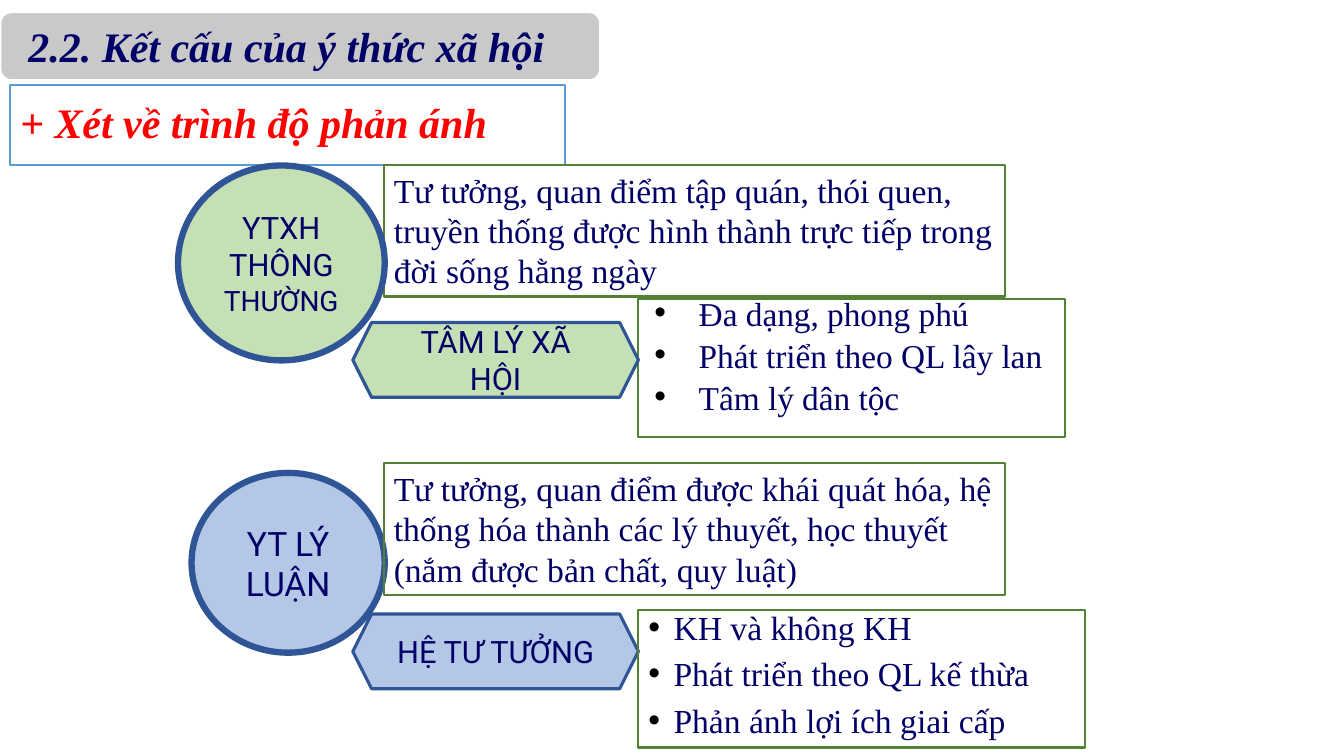
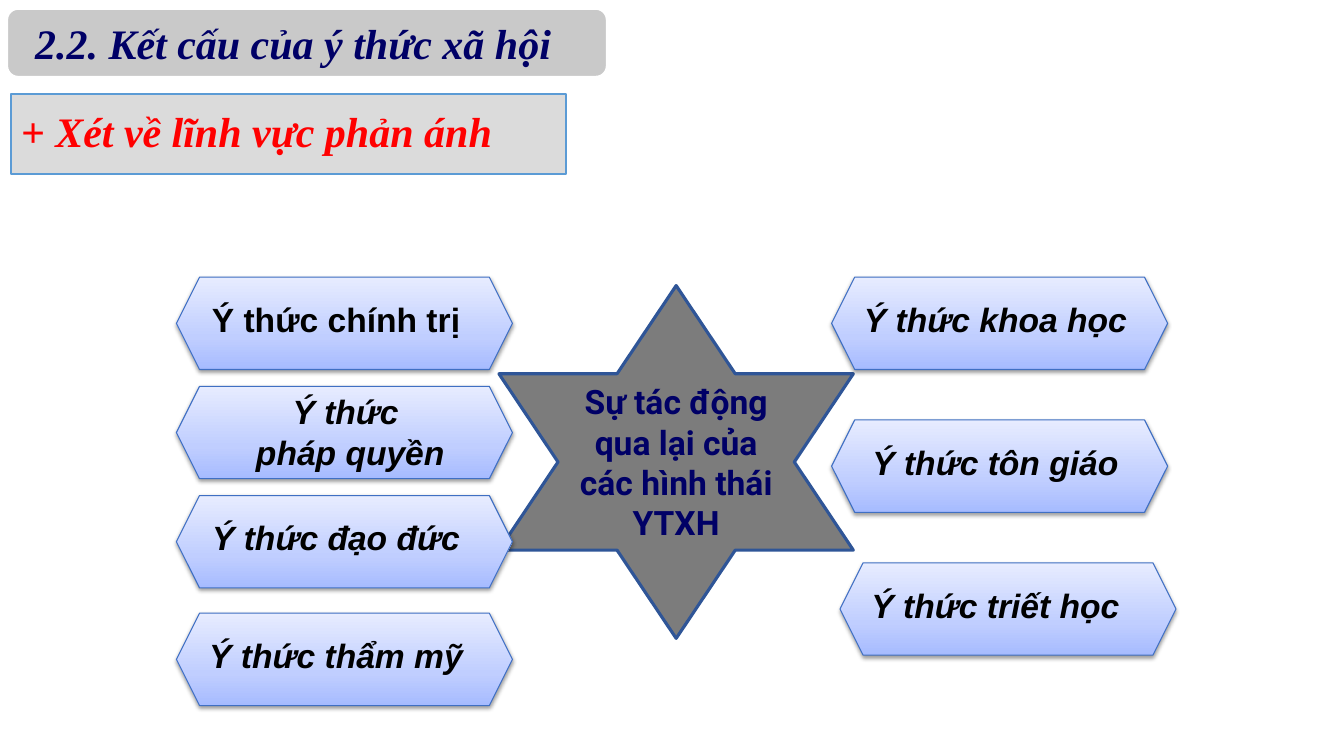
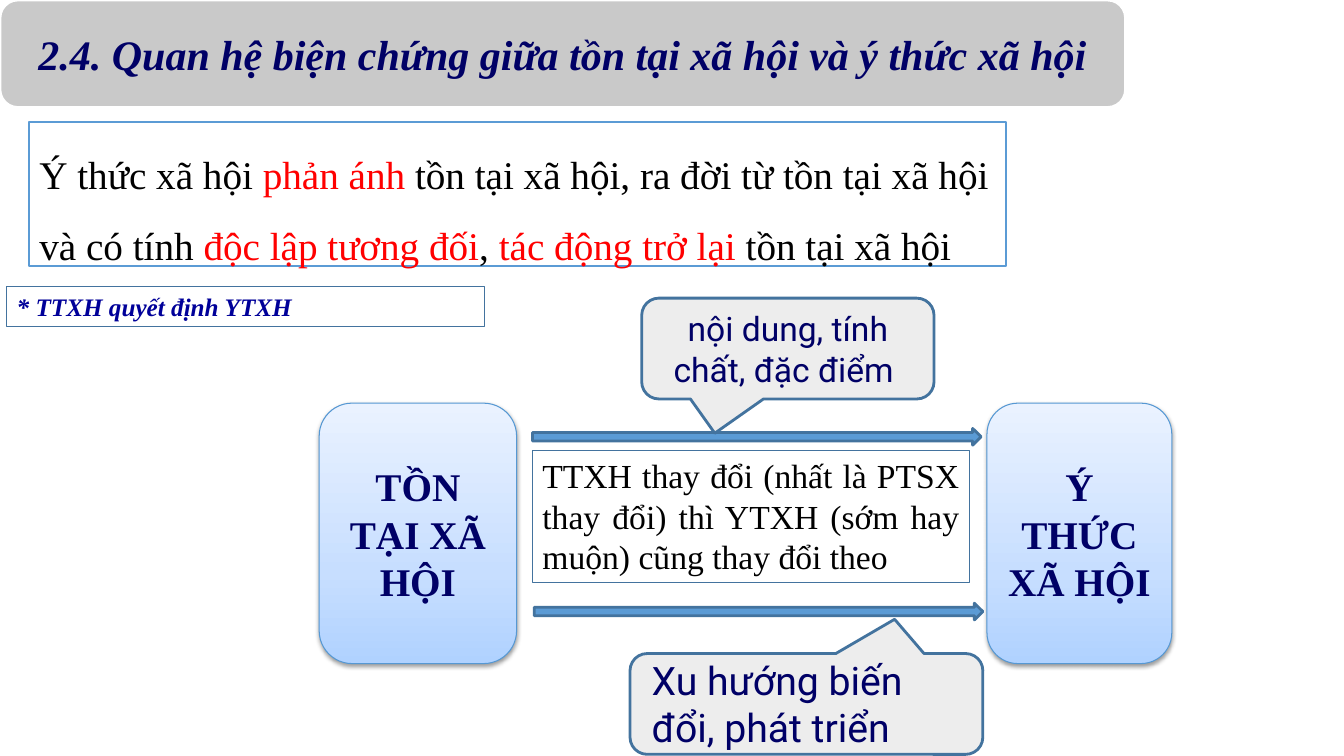
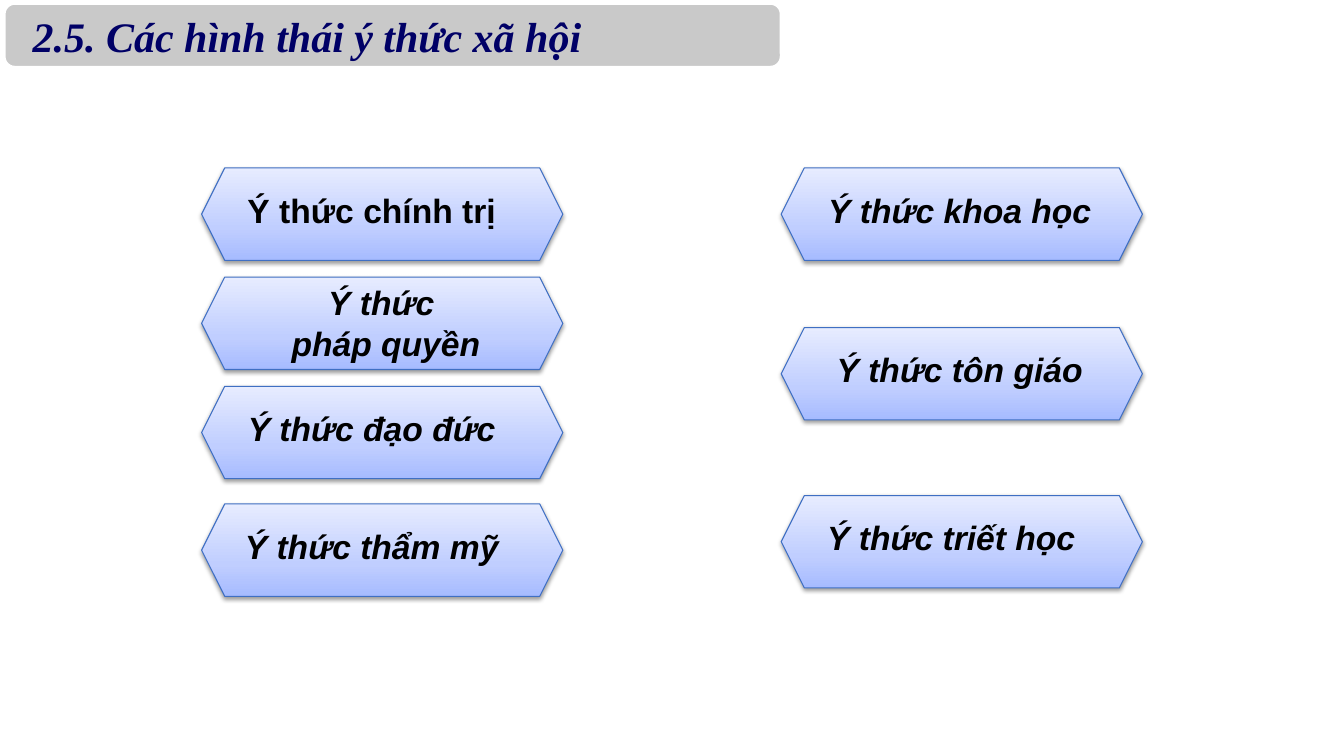
"""Builds four lecture slides on the structure and forms of social consciousness."""
from copy import deepcopy

from lxml.etree import SubElement
from pptx import Presentation
from pptx.dml.color import RGBColor
from pptx.enum.shapes import MSO_SHAPE as Preset
from pptx.enum.text import MSO_ANCHOR as Anchor, MSO_AUTO_SIZE as AutoSize, PP_ALIGN as Align
from pptx.oxml.ns import qn
from pptx.util import Inches, Pt

COLORS = {
    "white": "FFFFFF", "black": "000000", "navy": "000066", "indigo": "000099",
    "red": "FF0000", "band": "C9C9C9", "panel": "DBDBDB", "bubble": "EDEDED",
    "star": "7C7C7C", "sky": "5B9BD5", "steel": "43739E", "forest": "548235",
    "royal": "2F5597", "mint": "C5E0B4", "powder": "B4C7E7",
    "form edge": "3F6FC3", "block edge": "5698D3",
}
GRADIENTS = {
    "form": ("A6BBFF", "C0CEFF", "E7ECFF"),
    "block": ("B0D2FF", "C7DEFF", "EAF2FF"),
}
STOPS = (0, 0.35, 1)
SERIF, SANS, ROUND = "Times New Roman", "Arial", "Roboto"
COLUMNS, ROWS = 160, 90
LEFT_FORMS = ("Ý thức chính trị", "Ý thức \npháp quyền", "Ý thức đạo đức", "Ý thức thẩm mỹ")
LEFT_ROWS = (0, 13, 26, 40)
RIGHT_FORMS = ("Ý thức khoa học", "Ý thức tôn giáo", "Ý thức triết học")


class Deck:
    """Holds the shared style and the slide being drawn on."""

    def __init__(self):
        self.show = Presentation()
        self.show.slide_width, self.show.slide_height = Inches(13.33), Inches(7.5)
        self.slide = None

    def new_slide(self):
        """Start a slide with a title."""
        self.slide = self.show.slides.add_slide(self.show.slide_layouts[5])

    def place(self, at):
        """Turn grid columns and rows into slide lengths."""
        across = self.show.slide_width / COLUMNS
        down = self.show.slide_height / ROWS
        left, top, width, height = at
        return round(left * across), round(top * down), round(width * across), round(height * down)

    def color(self, name):
        """Look up a colour by name."""
        return RGBColor.from_string(COLORS[name])

    def paint(self, shape, fill, line, weight):
        """Set a shape's fill and outline."""
        if fill:
            shape.fill.solid()
            shape.fill.fore_color.rgb = self.color(fill)
        else:
            shape.fill.background()
        shape.line.color.rgb = self.color(line)
        shape.line.width = Pt(weight)

    def shape(self, preset, at, fill, line, weight):
        """Add a flat preset shape."""
        shape = self.slide.shapes.add_shape(preset, *self.place(at))
        shape.shadow.inherit = False
        self.paint(shape, fill, line, weight)
        return shape

    def glossy(self, preset, at, kind):
        """Add a shape with a vertical gradient and a soft shadow."""
        shape = self.shape(preset, at, None, f"{kind} edge", 0.75)
        shape.fill.gradient()
        shape.fill.gradient_angle = 90
        stop_list = next(shape.element.iter(qn("a:gsLst")))
        stop_list.insert(1, deepcopy(stop_list[0]))
        for stop, position, tone in zip(shape.fill.gradient_stops, STOPS, GRADIENTS[kind]):
            stop.position = position
            stop.color.rgb = RGBColor.from_string(tone)
        effects = shape.element.spPr.find(qn("a:effectLst"))
        shadow = SubElement(effects, qn("a:outerShdw"), blurRad=str(Pt(3.1)),
                            dist=str(Pt(1.6)), dir="5400000", rotWithShape="0")
        shade = SubElement(shadow, qn("a:srgbClr"), val=COLORS["black"])
        SubElement(shade, qn("a:alpha"), val="38000")
        return shape

    def bullet(self, paragraph, margin, hang):
        """Give a paragraph a black round bullet."""
        props = paragraph._p.get_or_add_pPr()
        props.set("marL", str(Inches(margin)))
        props.set("indent", str(-Inches(hang)))
        SubElement(SubElement(props, qn("a:buClr")), qn("a:srgbClr"), val=COLORS["black"])
        SubElement(props, qn("a:buFont"), typeface=SANS)
        SubElement(props, qn("a:buChar"), char="•")

    def set_text(self, shape, text, size=24, font=SERIF, color="navy", bold=False, italic=False,
                 align=Align.LEFT, anchor=Anchor.TOP, spacing=None, before=None,
                 insets=(0.1, 0.05), bullets=None):
        """Fill a shape with lines of text, or with one line of (text, colour, size) runs."""
        frame = shape.text_frame
        frame.word_wrap = True
        frame.auto_size = AutoSize.NONE
        frame.vertical_anchor = anchor
        frame.margin_left = frame.margin_right = Inches(insets[0])
        frame.margin_top = frame.margin_bottom = Inches(insets[1])
        lines = [[(line, None, None)] for line in text.split("\n")] if isinstance(text, str) else [text]
        for number, line in enumerate(lines):
            paragraph = frame.add_paragraph() if number else frame.paragraphs[0]
            if bullets:
                self.bullet(paragraph, *bullets)
            paragraph.alignment = align
            if spacing:
                paragraph.line_spacing = spacing
            if before:
                paragraph.space_before = Pt(before)
            style = paragraph.font
            style.name, style.size, style.bold, style.italic = font, Pt(size), bold, italic
            style.color.rgb = self.color(color)
            for words, run_color, run_size in line:
                run = paragraph.add_run()
                run.text = words
                if run_color:
                    run.font.color.rgb = self.color(run_color)
                if run_size:
                    run.font.size = Pt(run_size)

    def text(self, at, text, **style):
        """Add a bare text box."""
        self.set_text(self.slide.shapes.add_textbox(*self.place(at)), text, **style)

    def panel(self, at, text, line="forest", weight=1.5, **style):
        """Add an outlined box of text."""
        self.set_text(self.shape(Preset.RECTANGLE, at, None, line, weight), text, **style)

    def badge(self, preset, at, text, fill, weight, size=22, **style):
        """Add a filled shape with a centred caption."""
        self.set_text(self.shape(preset, at, fill, "royal", weight), text, size=size, font=ROUND,
                      align=Align.CENTER, anchor=Anchor.MIDDLE, **style)

    def heading(self, at, text, is_title=False, align=Align.LEFT):
        """Add the grey section band with its heading."""
        band = self.shape(Preset.ROUNDED_RECTANGLE, at, "band", "white", 2)
        left, top, width, height = at
        inner = self.place((left + 0.5, top + 0.4, width - 1, height - 0.8))
        if is_title:
            words = self.slide.shapes.title
            words.left, words.top, words.width, words.height = inner
            band.element.addnext(words.element)
        else:
            words = self.slide.shapes.add_textbox(*inner)
        self.set_text(words, text, size=30, bold=True, italic=True, align=align,
                      anchor=Anchor.MIDDLE, insets=(0.24, 0))

    def title(self, at, text, fill=None):
        """Format the title as a red line in a blue frame."""
        title = self.slide.shapes.title
        title.left, title.top, title.width, title.height = self.place(at)
        self.paint(title, fill, "sky", 1.5)
        self.set_text(title, text, size=30, color="red", bold=True, italic=True,
                      anchor=Anchor.MIDDLE, spacing=0.9)

    def form(self, left, top, width, name, label_left, label_width):
        """Add a hexagon naming one form of consciousness."""
        self.glossy(Preset.HEXAGON, (left, top, width, 11), "form")
        if "\n" in name:
            label = (label_left + 1, top, label_width + 1.4, 11)
        else:
            label = (label_left, top + 2, label_width, 6.1)
        self.text(label, name, font=SANS, color="black", bold=True,
                  italic=name != LEFT_FORMS[0], align=Align.CENTER)

    def forms(self, left, top, width, label_width, right_places):
        """Add the left and right columns of forms."""
        for name, row in zip(LEFT_FORMS, LEFT_ROWS):
            self.form(left, top + row, width, name, left + 2, label_width)
        for name, (column, row, label_left) in zip(RIGHT_FORMS, right_places):
            self.form(column, top + row, width, name, label_left, label_width)

    def block(self, left, width, text):
        """Add one of the two large related concepts."""
        block = self.glossy(Preset.FLOWCHART_ALTERNATE_PROCESS, (left, 48, width, 31), "block")
        self.set_text(block, text, size=28, bold=True, align=Align.CENTER, anchor=Anchor.MIDDLE)

    def callout(self, at):
        """Add a speech bubble."""
        bubble = self.shape(Preset.ROUNDED_RECTANGULAR_CALLOUT, at, "bubble", "steel", 2)
        for number, value in enumerate((-0.25, 0.84, 0.17)):
            bubble.adjustments[number] = value
        return bubble


def levels(deck):
    """Draw the levels of reflection."""
    deck.new_slide()
    deck.heading((0, 1.4, 71.5, 8.2), "2.2. Kết cấu của ý thức xã hội")
    deck.title((1.2, 10.1, 66.1, 9.5), "+ Xét về trình độ phản ánh")
    deck.panel((45.7, 19.6, 73.9, 15.7), "Tư tưởng, quan điểm tập quán, thói quen, truyền thống "
               "được hình thành trực tiếp trong đời sống hằng ngày")
    deck.badge(Preset.OVAL, (21.2, 19.7, 24.6, 23.2),
               [("YTXH THÔNG ", None, None), ("THƯỜNG", None, 20)], "mint", 4.5)
    deck.panel((76, 35.6, 50.8, 16.4), "Đa dạng, phong phú\nPhát triển theo QL lây lan\nTâm lý dân tộc",
               size=23.8, spacing=0.7, before=10, bullets=(0.5, 0.44))
    deck.badge(Preset.HEXAGON, (42, 38.4, 34, 8.9), "TÂM LÝ XÃ HỘI", "mint", 2.25)
    deck.badge(Preset.OVAL, (22.8, 56.3, 23, 21.4), "YT LÝ LUẬN", "powder", 4.5, size=24)
    deck.badge(Preset.HEXAGON, (42, 73.1, 34, 8.9), "HỆ TƯ TƯỞNG", "powder", 2.25)
    deck.panel((45.7, 55.1, 73.9, 15.7), "Tư tưởng, quan điểm được khái quát hóa, hệ thống hóa "
               "thành các lý thuyết, học thuyết (nắm được bản chất, quy luật)")
    deck.panel((76, 72.6, 53.2, 16.4), "KH và không KH\nPhát triển theo QL kế thừa\nPhản ánh lợi ích giai cấp",
               spacing=0.8, before=10, bullets=(0.25, 0.25))


def fields(deck):
    """Draw the fields of reflection around their interaction."""
    deck.new_slide()
    deck.heading((0.8, 1, 71.5, 8.2), "2.2. Kết cấu của ý thức xã hội")
    deck.title((1.3, 11.2, 66.1, 9.5), "+ Xét về lĩnh vực phản ánh", "panel")
    deck.badge(Preset.STAR_6_POINT, (59.4, 34, 42.2, 42),
               "Sự tác động qua lại của các hình thái YTXH", "star", 2.25, size=24, bold=True)
    deck.forms(21, 33, 40, 34, ((99, 0, 101.5), (99, 17, 101.5), (100, 34, 101.5)))


def relation(deck):
    """Draw how social being determines social consciousness."""
    deck.new_slide()
    deck.heading((0, 0, 134, 12.8), "2.4. Quan hệ biện chứng giữa tồn tại xã hội và ý thức xã hội",
                 is_title=True, align=Align.CENTER)
    thesis = (("Ý thức xã hội ", "black"), ("phản ánh ", "red"),
              ("tồn tại xã hội, ra đời từ tồn tại xã hội và có tính ", "black"),
              ("độc lập tương đối", "red"), (", ", "black"),
              ("tác động trở lại ", "red"), ("tồn tại xã hội", "black"))
    deck.panel((3.5, 14.5, 116.3, 17.2), [(words, color, None) for words, color in thesis],
               line="sky", size=28, spacing=1.5)
    deck.block(38, 23.5, "TỒN TẠI XÃ HỘI")
    deck.block(117.5, 22, "Ý THỨC XÃ HỘI")
    for left, top in ((63.4, 51), (63.6, 71.8)):
        deck.shape(Preset.RIGHT_ARROW, (left, top, 53.4, 2), "sky", "steel", 2)
    deck.set_text(deck.callout((76.4, 35.5, 34.8, 12)), "nội dung, tính chất, đặc điểm ",
                  font=ROUND, align=Align.CENTER, anchor=Anchor.MIDDLE)
    deck.callout((75, 77.8, 42, 12)).rotation = 180
    deck.text((76.4, 77.5, 40, 12.5), "Xu hướng biến đổi, phát triển", size=28, font=ROUND)
    deck.panel((63.4, 53.6, 52, 15.7), "TTXH thay đổi (nhất là PTSX thay đổi) thì YTXH "
               "(sớm hay muộn) cũng thay đổi theo", "steel", 0.75, color="black", align=Align.JUSTIFY)
    deck.panel((0.8, 34.1, 56.9, 4.8), "* TTXH quyết định YTXH", "steel", 0.75, size=18,
               color="indigo", bold=True, italic=True, align=Align.JUSTIFY)


def catalogue(deck):
    """Draw the list of forms of social consciousness."""
    deck.new_slide()
    deck.heading((0.5, 0.4, 92.5, 7.6), "2.5. Các hình thái ý thức xã hội", is_title=True)
    deck.forms(24, 20, 43, 36.5, ((93, 0, 96), (93, 19, 96), (93, 39, 95)))


def main():
    """Build and save the deck."""
    deck = Deck()
    for draw in (levels, fields, relation, catalogue):
        draw(deck)
    deck.show.save("out.pptx")


if __name__ == "__main__":
    main()
